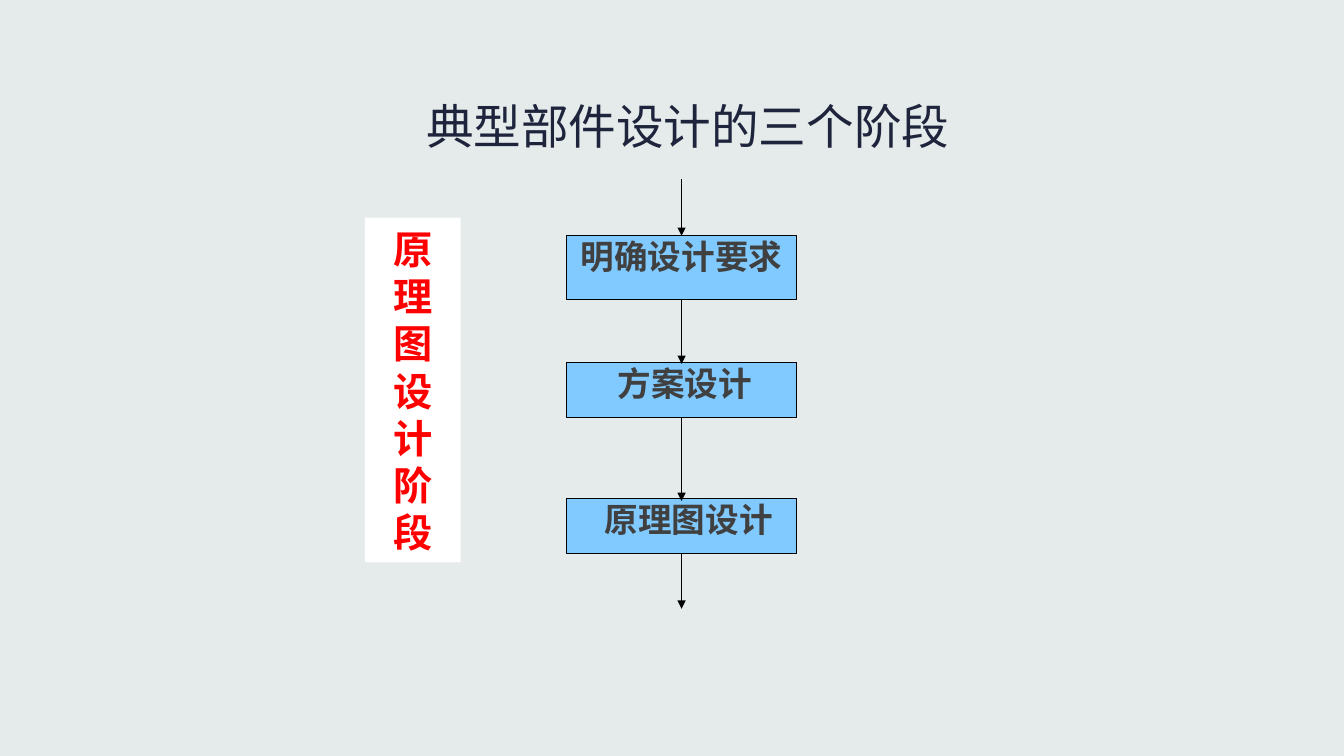
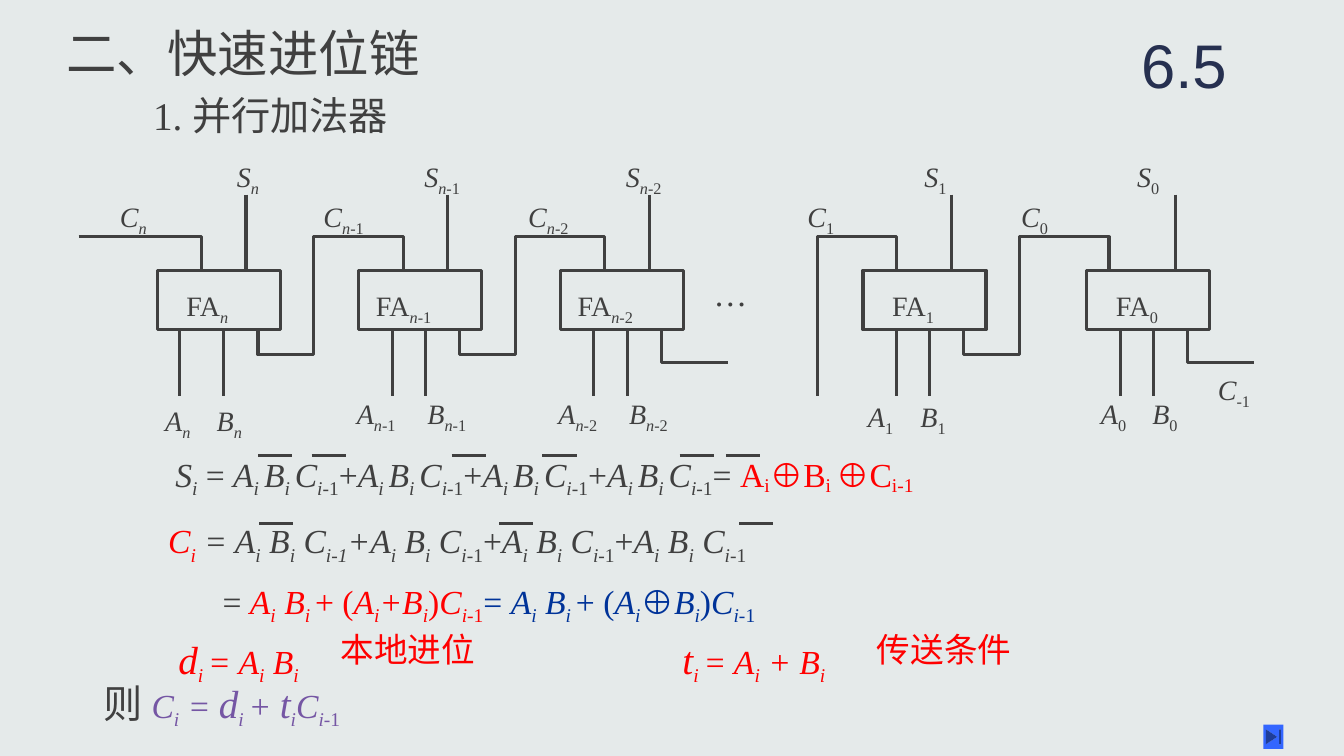
"""Build two slides: the three design stages and the fast carry chain."""
from itertools import pairwise

from lxml import etree
from pptx import Presentation
from pptx.dml.color import RGBColor
from pptx.enum import shapes, text
from pptx.oxml import ns
from pptx.util import Inches, Pt

BACKGROUND, INK, BLACK, WHITE = "E5EAEA", "404040", "000000", "FFFFFF"
RED, BLUE, PURPLE, NAVY = "FF0000", "003399", "7556A4", "1D243C"
SKY, BUTTON, SECTION = "80CAFF", "3366FF", "263050"
SERIF, SANS, CHINESE = "Times New Roman", "Calibri", "Noto Sans CJK SC"

STAGE_TITLE = "典型部件设计的三个阶段"
STAGE_NAME = "原理图设计阶段"
STEPS = [
    ("明确设计要求", 2.34, 0.63, 0),
    ("方案设计", 3.6, 0.54, 0.06),
    ("原理图设计", 4.95, 0.54, 0.14),
]
STEP_LEFT, STEP_WIDTH = 5.62, 2.28
STEP_ARROWS = [(1.78, 2.34), (2.98, 3.61), (4.15, 4.97), (5.49, 6.04)]

CHAIN_TITLE = "二、快速进位链"
ADDER_FIELDS = ("index", "left", "a_wire", "carry_out", "sum_label", "carry_label",
                "name_label", "a_label", "b_label", "input_top")
ADDERS = [dict(zip(ADDER_FIELDS, row)) for row in [
    ("/n/", 1.56, 1.78, 2, 2.25, 1.09, 1.75, 1.54, 2.05, 3.95),
    ("/n/-1", 3.56, 3.89, 4, 4.11, 3.11, 3.63, 3.44, 4.14, 3.88),
    ("/n/-2", 5.56, 5.89, 6, 6.11, 5.14, 5.63, 5.44, 6.14, 3.88),
    ("1", 8.56, 8.89, 8.89, 9.07, 7.91, 8.75, 8.51, 9.03, 3.91),
    ("0", 10.78, 11.11, 11, 11.18, 10.03, 10.97, 10.82, 11.33, 3.88),
]]
ADDER_WIDTH, ADDER_TOP, ADDER_BOTTOM = 1.22, 2.68, 3.27
SUM_TOP, CARRY_TOP, INPUT_END = 1.93, 2.35, 3.93
OPEN_WIRES = [
    [(0.78, CARRY_TOP), (2, CARRY_TOP), (2, ADDER_TOP)],
    [(6.56, ADDER_BOTTOM), (6.56, 3.6), (7.22, 3.6)],
    [(8.89, ADDER_TOP), (8.89, CARRY_TOP), (8.11, CARRY_TOP), (8.11, INPUT_END)],
    [(11.78, ADDER_BOTTOM), (11.78, 3.6), (12.44, 3.6)],
]

SUM_TERM = "/A_i _B_i _C_i/-1_"
CARRY_TERM = "/A_i_ B_i_ C_i-/1_"
SUM_FORMULA = "/S_i_/ = " + "+".join([SUM_TERM] * 4) + "= "
CARRY_FORMULA = "/ = A_i_ B_i_ C_i-1_+/" + "+".join([CARRY_TERM] * 3)
FORMULAS = [
    (1.42, 0.86, 3.5, 28, [(INK, "1. 并行加法器")]),
    (1.64, 4.45, 8.14, 24, [(INK, SUM_FORMULA), (RED, "A_i_⊕B_i _⊕C_i-1_", -15)]),
    (1.57, 5.11, 6.6, 24, [(RED, "/C_i_"), (INK, CARRY_FORMULA)]),
    (2.11, 5.71, 6, 24, [
        (INK, "= "),
        (RED, "/A_i_ B_i _/+ (/A_i_+B_i_/)/C_i-/1_"),
        (BLUE, "= /A_i_ B_i _/+ (/A_i_⊕B_i_/)/C_i-/1_"),
    ]),
    (1.67, 6.25, 1.6, 24, [(RED, "/^d^_i _= A_i_ B_i_")]),
    (3.28, 6.19, 2, 24, [(RED, "本地进位")]),
    (6.67, 6.25, 1.9, 24, [(RED, "/^t^_i _= A_i_ + B_i_")]),
    (8.6, 6.19, 2, 24, [(RED, "传送条件")]),
    (0.93, 6.69, 3.2, 24, [(INK, "^则 ^"), (PURPLE, "/C_i_ = ^d^_i _+ ^t^_i_C_i/-1_")]),
    (6.98, 2.66, 0.65, 24, [(INK, "…")]),
]
OVERLINES = [(4.52, (2.56, 3.09, 4.48, 5.38, 6.74, 7.2)), (5.19, (2.57, 4.95, 7.33))]
OVERLINE_WIDTH = 0.34


def rgb(value):
    return RGBColor.from_string(value)


def inches(*values):
    return [Inches(value) for value in values]


def add_runs(paragraph, colour, markup, depth=-25):
    active, piece = set(), ""
    for character in markup + "/":
        if character not in "/_^":
            piece += character
            continue
        if piece:
            run = paragraph.add_run()
            run.text = piece
            run.font.color.rgb = rgb(colour)
            if "/" in active:
                run.font.italic = True
            if "^" in active:
                run.font.size = Pt(28)
            if "_" in active:
                run.font._element.set("baseline", str(depth * 1000))
        active ^= {character}
        piece = ""


def write_text(shape, segments, size, font=SERIF, bold=False,
               align=text.PP_ALIGN.LEFT, anchor=text.MSO_ANCHOR.TOP):
    frame = shape.text_frame
    frame.word_wrap = True
    frame.auto_size = text.MSO_AUTO_SIZE.NONE
    frame.vertical_anchor = anchor
    paragraph = frame.paragraphs[0]
    paragraph.alignment = align
    paragraph.font.name = font
    paragraph.font.size = Pt(size)
    paragraph.font.bold = bold
    defaults = paragraph._p.get_or_add_pPr().get_or_add_defRPr()
    etree.SubElement(defaults, ns.qn("a:ea")).set("typeface", CHINESE)
    for segment in segments:
        add_runs(paragraph, *segment)
    return paragraph


def add_text(slide, left, top, width, size, segments, height=0.5, **style):
    box = slide.shapes.add_textbox(*inches(left, top, width, height))
    write_text(box, segments, size, **style)


def set_title(slide, title, colour, size, place, **style):
    shape = slide.shapes.title
    shape.left, shape.top, shape.width, shape.height = inches(*place)
    return write_text(shape, [(colour, title)], size, **style)


def style_shape(shape, fill=None, line=None, weight=0.75):
    shape.shadow.inherit = False
    if fill:
        shape.fill.solid()
        shape.fill.fore_color.rgb = rgb(fill)
    else:
        shape.fill.background()
    if line:
        shape.line.color.rgb = rgb(line)
        shape.line.width = Pt(weight)
    else:
        shape.line.fill.background()


def add_box(slide, place, kind=shapes.MSO_SHAPE.RECTANGLE, **style):
    box = slide.shapes.add_shape(kind, *inches(*place))
    style_shape(box, **style)
    return box


def add_line(slide, start, end, colour=INK, weight=2.25, arrow=False):
    line = slide.shapes.add_connector(shapes.MSO_CONNECTOR.STRAIGHT, *inches(*start, *end))
    line.line.color.rgb = rgb(colour)
    line.line.width = Pt(weight)
    if arrow:
        etree.SubElement(line.line._get_or_add_ln(), ns.qn("a:tailEnd")).set("type", "triangle")
    etree.SubElement(line._element.spPr, ns.qn("a:effectLst"))


def add_wire(slide, points):
    start, *rest = [inches(*point) for point in points]
    builder = slide.shapes.build_freeform(*start)
    builder.add_line_segments(rest, close=False)
    style_shape(builder.convert_to_shape(), line=INK, weight=2.25)


def build_stages(slide):
    centre = text.PP_ALIGN.CENTER
    title = set_title(slide, STAGE_TITLE, NAVY, 34, (2.15, 0.98, 9.34, 0.87),
                      font=CHINESE, align=centre)
    title.line_spacing = 0.9
    for label, top, height, indent in STEPS:
        box = add_box(slide, (STEP_LEFT, top, STEP_WIDTH, height), fill=SKY, line=BLACK)
        box.text_frame.margin_top = 0
        box.text_frame.margin_left = Inches(0.1 + indent)
        write_text(box, [(INK, label)], 24, font=SANS, bold=True, align=centre)
    middle = STEP_LEFT + STEP_WIDTH / 2
    for top, bottom in STEP_ARROWS:
        add_line(slide, (middle, top), (middle, bottom), BLACK, 0.75, arrow=True)
    banner = add_box(slide, (3.62, 2.16, 0.95, 3.42), fill=WHITE)
    frame = banner.text_frame
    frame.margin_left = frame.margin_right = Inches(0.2)
    frame.margin_top = Inches(0.08)
    name = write_text(banner, [(RED, STAGE_NAME)], 28, font=SANS, bold=True, align=centre)
    name.line_spacing = Pt(33.6)


def build_adder(slide, adder):
    left, index = adder["left"], adder["index"]
    add_box(slide, (left, ADDER_TOP, ADDER_WIDTH, ADDER_BOTTOM - ADDER_TOP),
            line=INK, weight=2.25)
    add_line(slide, (left + 0.88, SUM_TOP), (left + 0.88, ADDER_TOP))
    for wire in (adder["a_wire"], left + 0.66):
        add_line(slide, (wire, ADDER_BOTTOM), (wire, INPUT_END))
    labels = [
        ("/S/", "sum_label", 1.53),
        ("/C/", "carry_label", 1.93),
        ("FA", "name_label", 2.81),
        ("/A/", "a_label", adder["input_top"]),
        ("/B/", "b_label", adder["input_top"]),
    ]
    for letter, field, top in labels:
        add_text(slide, adder[field], top, 0.95, 20, [(INK, f"{letter}_{index}")], 0.44)


def build_chain(slide):
    set_title(slide, CHAIN_TITLE, INK, 36, (0.56, 0.17, 8, 0.7),
              anchor=text.MSO_ANCHOR.MIDDLE)
    for adder in ADDERS:
        build_adder(slide, adder)
    for higher, lower in pairwise(ADDERS):
        if lower["index"] == "1":
            continue
        carry_in, riser, carry_out = higher["left"] + 1, higher["left"] + 1.55, lower["carry_out"]
        add_wire(slide, [(carry_in, ADDER_BOTTOM), (carry_in, 3.52), (riser, 3.52),
                         (riser, CARRY_TOP), (carry_out, CARRY_TOP), (carry_out, ADDER_TOP)])
    for points in OPEN_WIRES:
        add_wire(slide, points)
    add_text(slide, 11.98, 3.65, 0.8, 20, [(INK, "/C/_-1")], 0.44)
    for formula in FORMULAS:
        add_text(slide, *formula)
    for top, lefts in OVERLINES:
        for left in lefts:
            add_line(slide, (left, top), (left + OVERLINE_WIDTH, top))
    add_text(slide, 11.22, 0.17, 1.67, 44, [(SECTION, "6.5")], 0.92,
             font="Arial", anchor=text.MSO_ANCHOR.MIDDLE)
    add_box(slide, (12.53, 7.19, 0.2, 0.24), shapes.MSO_SHAPE.ACTION_BUTTON_END, fill=BUTTON)


def main():
    presentation = Presentation()
    presentation.slide_width, presentation.slide_height = inches(13.33, 7.5)
    fill = presentation.slide_master.background.fill
    fill.solid()
    fill.fore_color.rgb = rgb(BACKGROUND)
    title_only = presentation.slide_layouts[5]
    for build in (build_stages, build_chain):
        build(presentation.slides.add_slide(title_only))
    presentation.save("out.pptx")


if __name__ == "__main__":
    main()
